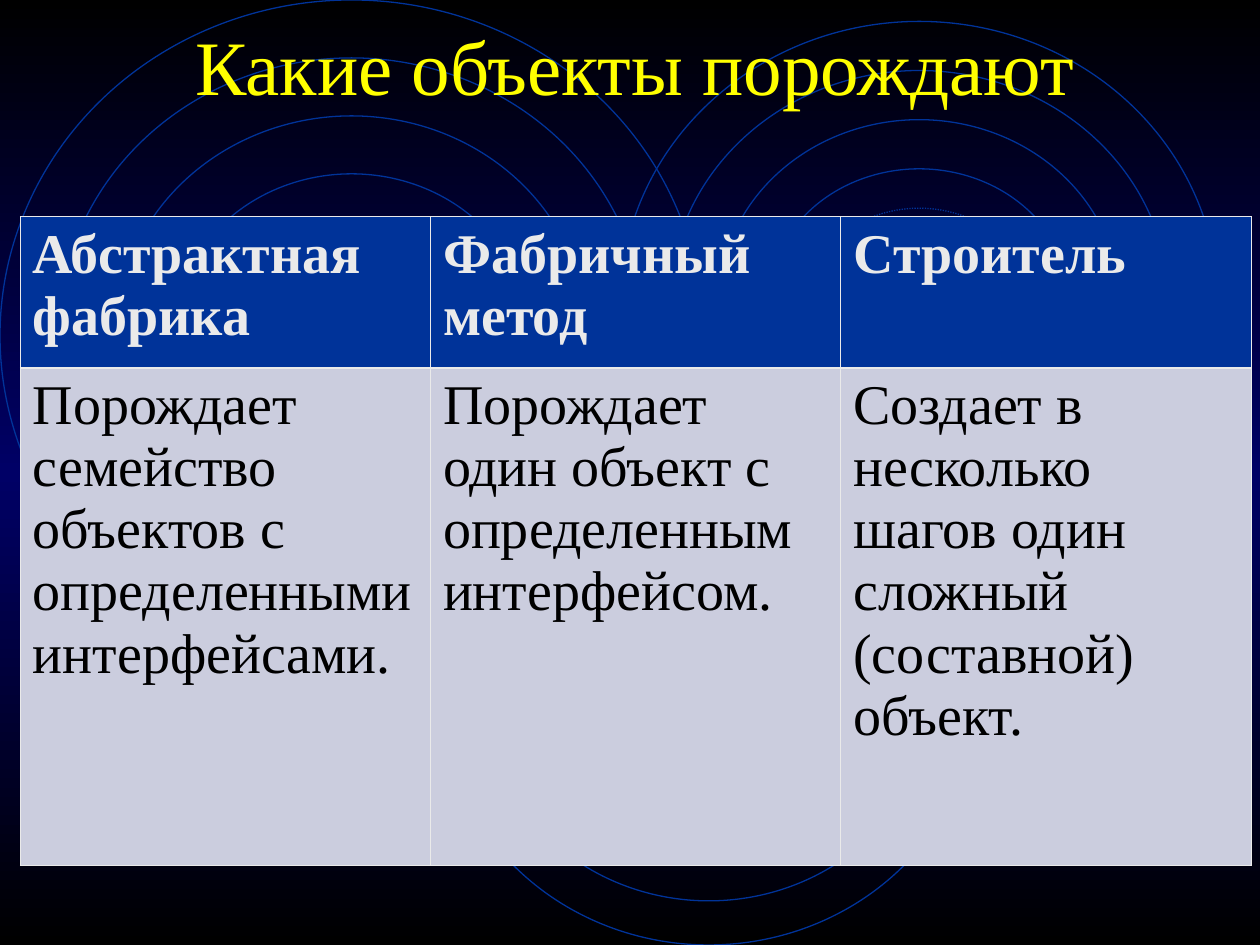
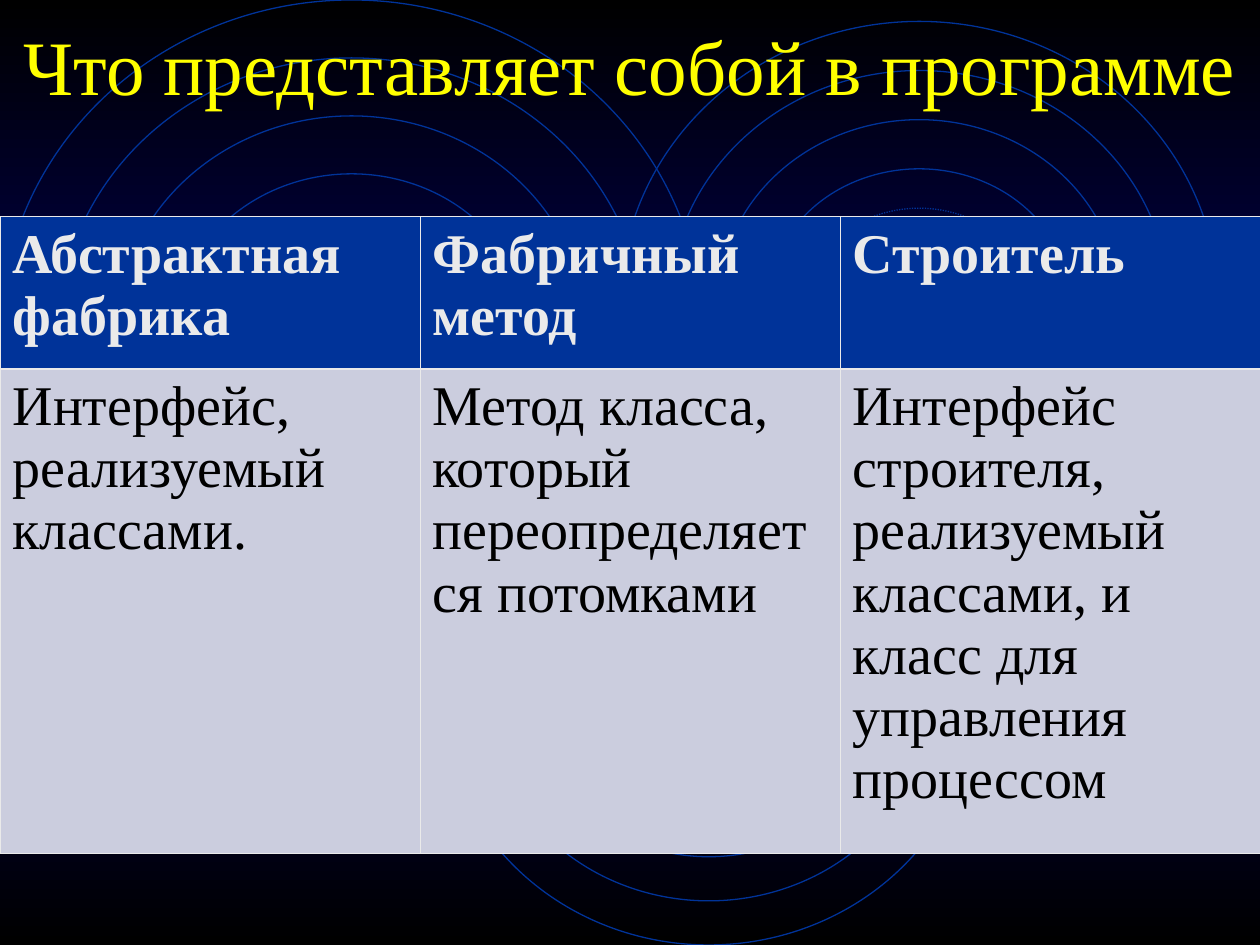
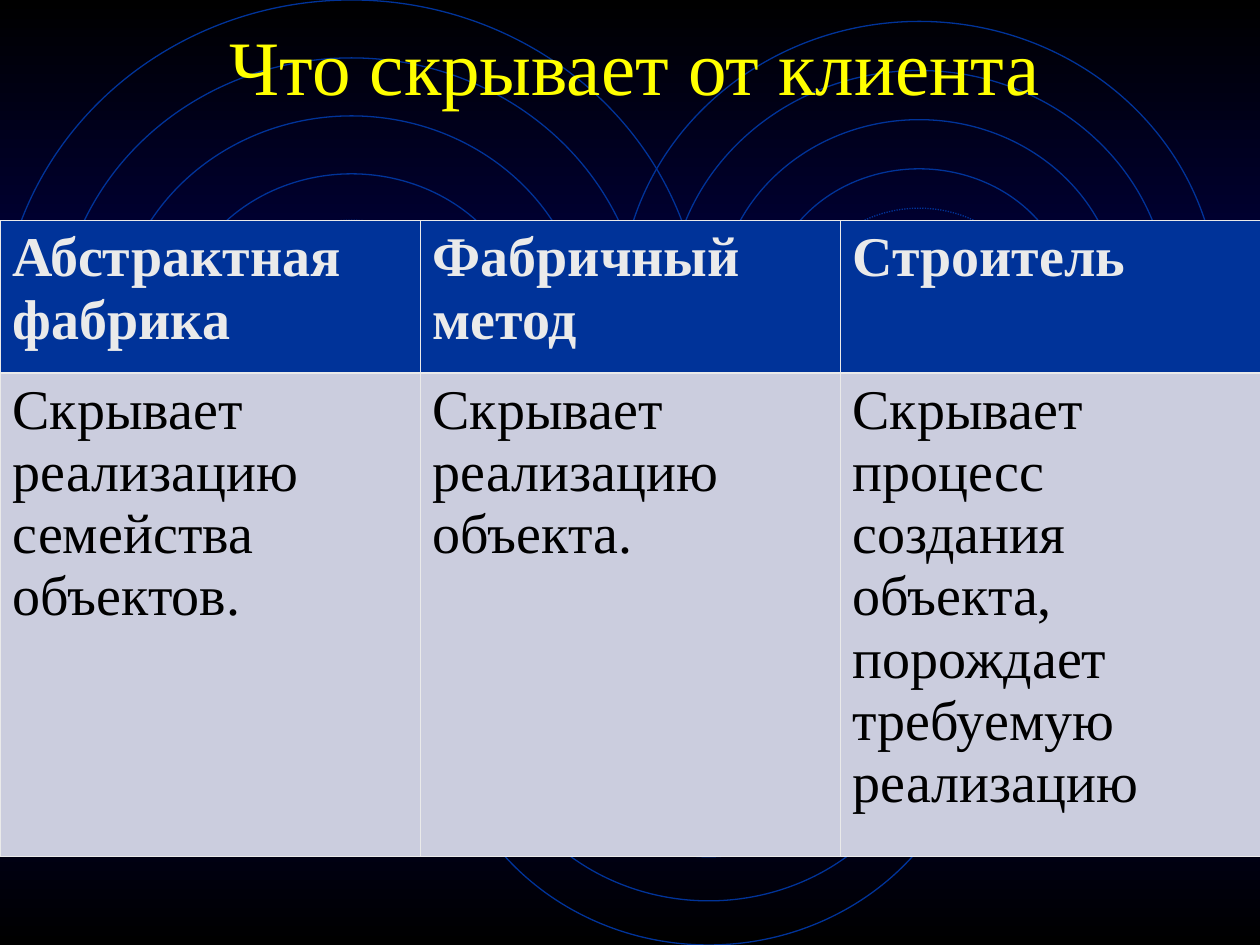
from copy import deepcopy
from dataclasses import dataclass

from lxml.etree import SubElement as Sub
from pptx import Presentation
from pptx.dml.color import RGBColor as Rgb
from pptx.enum.dml import MSO_LINE as Dash
from pptx.enum.shapes import MSO_SHAPE as Kind
from pptx.enum.text import MSO_ANCHOR as Anchor, PP_ALIGN as Align
from pptx.oxml.ns import qn
from pptx.util import Inches, Pt


# Colours, font and type sizes
@dataclass(frozen=True)
class Theme:
    font: str = "Times New Roman"
    black: str = "000000"
    navy: str = "000066"
    blue: str = "003399"
    yellow: str = "FFFF00"
    white: str = "EAEAEA"
    pale: str = "CBCDDE"
    title: int = 44
    text: int = 32
    ring: float = 0.75
    thin: float = 0.45
    thick: float = 1.47


THEME = Theme()

# Ring sets: left, top, width, height, step between rings
RINGS = [
    (0, 0, 5.58, 5.33, 0.46),
    (3.5, 3.5, 4.25, 4, 0.35),
    (4.92, 0.17, 4.75, 4.5, 0.39),
]
STEPS = (0, 1, 2, 3, 3.8)

HEADS = ["Абстрактная фабрика", "Фабричный метод", "Строитель"]
BLANK = [""] * len(HEADS)

# Title, title box, then tables: box, row heights, rows
SLIDES = [
    ("Какие объекты порождают", (0.39, 0, 9.3, 1.02), [
        ((1.48, 2.11, 7.03, 0.4), (0.4,), [BLANK]),
        ((0.16, 1.72, 9.77, 5.16), (1.2, 3.95), [
            HEADS,
            ["Порождает семейство объектов с определенными интерфейсами.",
             "Порождает один объект с определенным интерфейсом.",
             "Создает в несколько шагов один сложный (составной) объект."],
        ]),
    ]),
    ("Что представляет собой в программе", (0, 0, 10, 1.02), [
        ((0, 1.72, 10, 5.05), (1.21, 3.84), [
            HEADS,
            ["Интерфейс, реализуемый классами.",
             "Метод класса, который переопределяется потомками",
             "Интерфейс строителя, реализуемый классами, и класс для "
             "управления процессом"],
        ]),
    ]),
    ("Что скрывает от клиента", (0.39, 0, 9.3, 1.02), [
        ((0, 1.75, 10, 5.05), (1.21, 3.84), [
            HEADS,
            ["Скрывает реализацию семейства объектов.",
             "Скрывает реализацию объекта.",
             "Скрывает процесс создания объекта, порождает требуемую "
             "реализацию"],
        ]),
    ]),
]


def style(para, size, color, bold=False):
    font = para.font
    font.name, font.size, font.bold = THEME.font, Pt(size), bold
    font.color.rgb = Rgb.from_string(color)


# Gradient shared by all slides
def paint(master):
    fill = master.background.fill
    fill.gradient()
    fill.gradient_angle = 270
    stops = master.element.find(".//" + qn("a:gsLst"))
    stops.append(deepcopy(stops[0]))
    shades = (THEME.black, THEME.navy, THEME.black)
    for stop, place, shade in zip(fill.gradient_stops, (0, 0.5, 1), shades):
        stop.position = place
        stop.color.rgb = Rgb.from_string(shade)


def add_ring(slide, box, dotted):
    ring = slide.shapes.add_shape(Kind.OVAL, *map(Inches, box))
    ring.shadow.inherit = False
    ring.fill.background()
    ring.line.color.rgb = Rgb.from_string(THEME.blue)
    ring.line.width = Pt(THEME.ring)
    if dotted:
        ring.line.dash_style = Dash.ROUND_DOT
    return ring


# Rings are drawn on a slide, then moved to the back of the master
def add_rings(slide, master):
    tree = master.shapes.element
    count = 0
    for left, top, width, height, step in RINGS:
        for times in STEPS:
            gap = step * times
            box = (left + gap, top + gap, width - 2 * gap, height - 2 * gap)
            ring = add_ring(slide, box, times == STEPS[-1])
            ring.name = f"Ring {count + 1}"
            ring.element.nvSpPr.cNvPr.set("id", str(100 + count))
            tree.insert(2 + count, ring.element)
            count += 1


def add_title(slide, text, box):
    title = slide.shapes.title
    title.left, title.top, title.width, title.height = map(Inches, box)
    frame = title.text_frame
    frame.text = text
    frame.word_wrap = True
    frame.vertical_anchor = Anchor.MIDDLE
    para = frame.paragraphs[0]
    para.alignment = Align.CENTER
    style(para, THEME.title, THEME.yellow)


def add_edges(cell, top, base):
    props = cell._tc.get_or_add_tcPr()
    sides = {"L": THEME.thin, "R": THEME.thin, "T": top, "B": base}
    for side, width in sides.items():
        line = Sub(props, qn("a:ln" + side), w=str(Pt(width)))
        fill = Sub(line, qn("a:solidFill"))
        Sub(fill, qn("a:srgbClr"), val=THEME.white)


def fill_cell(cell, text, head):
    if head:
        add_edges(cell, THEME.thin, THEME.thick)
    else:
        add_edges(cell, THEME.thick, THEME.thin)
    cell.fill.solid()
    cell.fill.fore_color.rgb = Rgb.from_string(
        THEME.blue if head else THEME.pale)
    if text:
        cell.text = text
        color = THEME.white if head else THEME.black
        style(cell.text_frame.paragraphs[0], THEME.text, color, head)


def add_grid(slide, box, talls, rows):
    table = slide.shapes.add_table(
        len(rows), len(HEADS), *map(Inches, box)).table
    for col in table.columns:
        col.width = Inches(box[2] / len(HEADS))
    for row, tall in zip(table.rows, talls):
        row.height = Inches(tall)
    for r, row in enumerate(rows):
        for c, text in enumerate(row):
            fill_cell(table.cell(r, c), text, r == 0)


def main():
    deck = Presentation()
    deck.slide_width, deck.slide_height = Inches(10), Inches(7.5)
    master = deck.slide_master
    paint(master)
    for title, spot, grids in SLIDES:
        slide = deck.slides.add_slide(deck.slide_layouts[5])
        add_title(slide, title, spot)
        for grid in grids:
            add_grid(slide, *grid)
    add_rings(deck.slides[0], master)
    deck.save("out.pptx")


if __name__ == "__main__":
    main()
